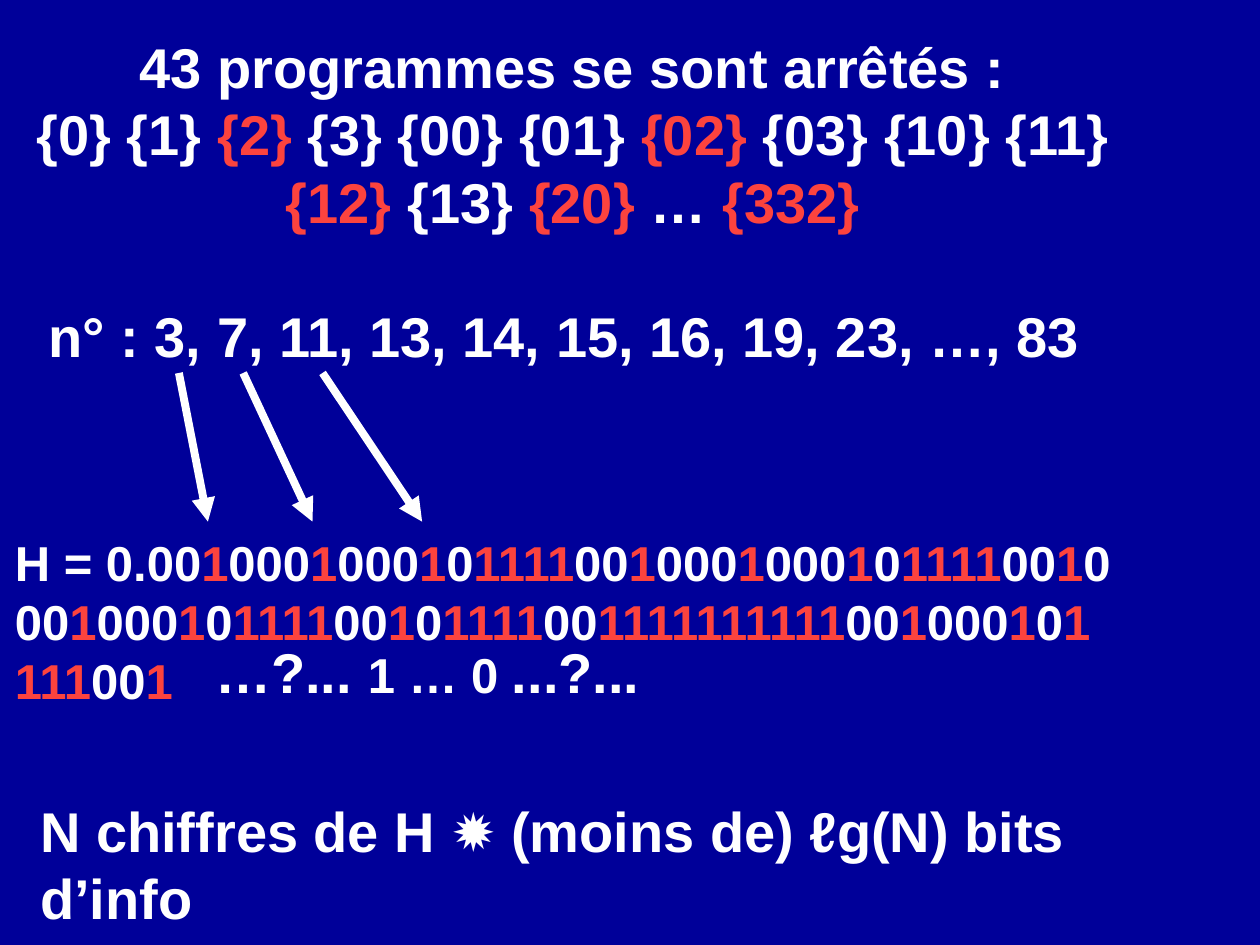
from itertools import groupby

from lxml.etree import SubElement
from pptx import Presentation
from pptx.dml.color import RGBColor
from pptx.enum.shapes import MSO_CONNECTOR
from pptx.enum.text import PP_ALIGN
from pptx.oxml.ns import qn
from pptx.util import Pt

COLORS = {"background": "000099", "text": "FFFFFF", "halted": "FC433E"}
LARGE, SMALL = 32, 28
LINE_RATIO = 1.2

# Content: segments between bars alternate between white and red
PROGRAMS = [
    "43 programmes se sont arrêtés :",
    "{0} {1} |{2}| {3} {00} {01} |{02}| {03} {10} {11} |{12}| {13} |{20}| … |{332}",
]
RANKS = "n° : 3, 7, 11, 13, 14, 15, 16, 19, 23, …, 83 "
DIGITS = [
    "H = 0.001000100010111100100010001011110010",
    "00100010111100101111001111111111001000101",
    "111001",
]
UNKNOWN = [("…?... ", LARGE), ("1 … 0 ", SMALL), ("...?...", LARGE)]
CONCLUSION = [("N chiffres de H ", "Arial"), ("✹", "Cambria"),
              (" (moins de) ℓg(N) bits d’info", "Arial")]

# Arrows from a rank to its digit: start x, end x
ARROWS = [(102.24, 118.8), (138.96, 178.56), (184.32, 241.2)]
ARROW_TOP, ARROW_BOTTOM = 213.12, 298.08


def rgb(name):
    return RGBColor.from_string(COLORS[name])


def marked_spans(line):
    return [(part, LARGE, "halted" if i % 2 else "text", "Arial")
            for i, part in enumerate(line.split("|")) if part]


def digit_spans(line):
    """Every digit 1 stands for a halted program."""
    return [("".join(group), SMALL, "halted" if is_one else "text", "Arial")
            for is_one, group in groupby(line, lambda digit: digit == "1")]


def add_text(page, left, top, width, height, paragraphs, align=PP_ALIGN.LEFT):
    frame = page.shapes.add_textbox(Pt(left), Pt(top), Pt(width), Pt(height)).text_frame
    frame.word_wrap = True
    for i, spans in enumerate(paragraphs):
        para = frame.add_paragraph() if i else frame.paragraphs[0]
        para.alignment = align
        para.line_spacing = Pt(LINE_RATIO * max(size for _, size, _, _ in spans))
        for text, size, color, font in spans:
            span = para.add_run()
            span.text = text
            span.font.name = font
            span.font.size = Pt(size)
            span.font.bold = True
            span.font.color.rgb = rgb(color)
    return frame


def add_arrow(page, start_x, end_x):
    arrow = page.shapes.add_connector(
        MSO_CONNECTOR.STRAIGHT, Pt(start_x), Pt(ARROW_TOP), Pt(end_x), Pt(ARROW_BOTTOM))
    arrow.line.color.rgb = rgb("text")
    arrow.line.width = Pt(4.5)
    SubElement(arrow.line._get_or_add_ln(), qn("a:tailEnd"), type="triangle")
    SubElement(arrow._element.spPr, qn("a:effectLst"))


def main():
    deck = Presentation()
    deck.slide_width, deck.slide_height = Pt(720), Pt(540)
    page = deck.slides.add_slide(deck.slide_layouts[6])
    page.background.fill.solid()
    page.background.fill.fore_color.rgb = rgb("background")

    # Halted programs and their ranks, one line apart
    lines = [marked_spans(line) for line in PROGRAMS + [RANKS]]
    programs = add_text(page, -8.64, 15.12, 671.76, 199.44, lines, PP_ALIGN.CENTER)
    programs.paragraphs[-1].space_before = Pt(LINE_RATIO * LARGE)

    # Binary expansion of H
    add_text(page, 1.44, 300.96, 651.6, 108, [digit_spans(line) for line in DIGITS])
    add_text(page, 115.92, 360.72, 274, 46.08,
             [[(text, size, "text", "Arial") for text, size in UNKNOWN]])

    for start_x, end_x in ARROWS:
        add_arrow(page, start_x, end_x)

    # Conclusion
    add_text(page, 15.84, 451.44, 682.56, 46.08,
             [[(text, LARGE, "text", font) for text, font in CONCLUSION]])

    deck.save("out.pptx")


if __name__ == "__main__":
    main()
